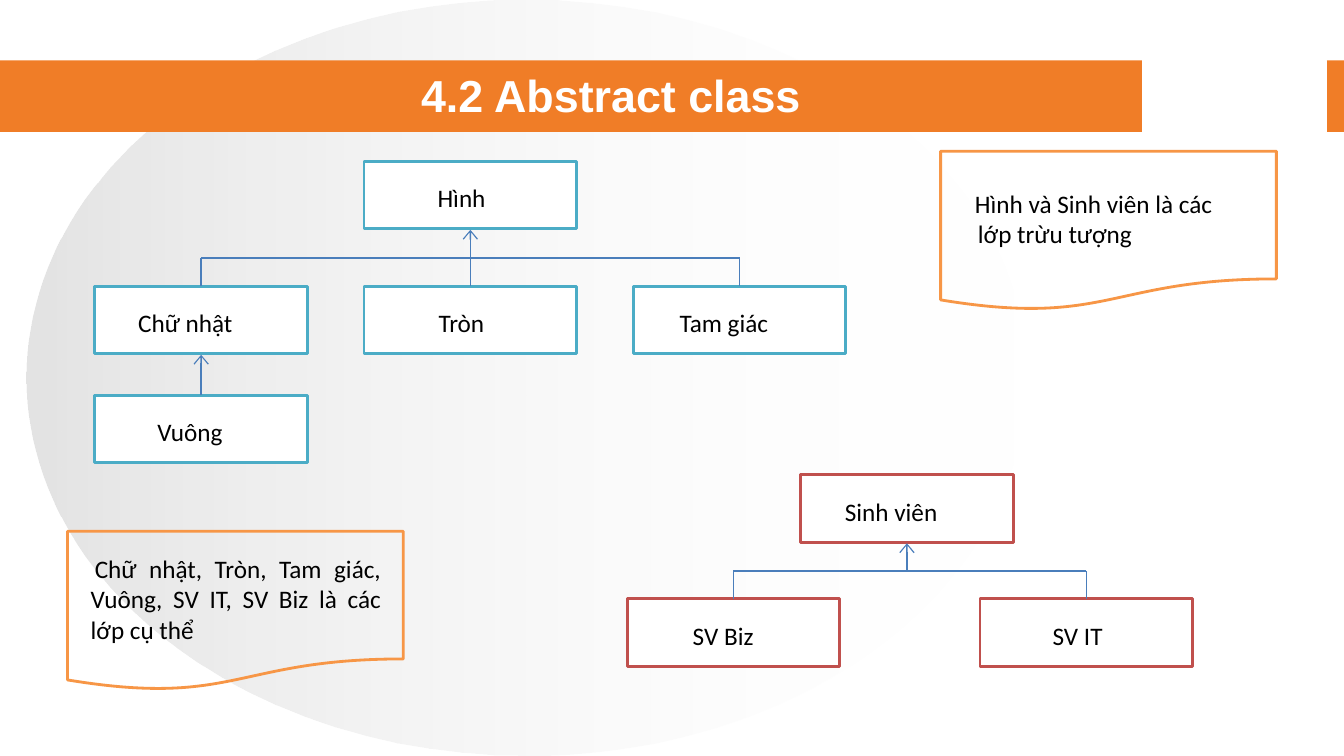
from lxml import etree
from pptx import Presentation
from pptx.dml.color import RGBColor
from pptx.enum.shapes import MSO_CONNECTOR as CONN, MSO_SHAPE as SHAPE
from pptx.enum.text import MSO_ANCHOR as ANCHOR, PP_ALIGN as ALIGN
from pptx.oxml.ns import qn
from pptx.util import Inches, Pt

BOX_W, BOX_H = 2.11, 0.67
ORANGE, TEAL, RED, BLUE = "F07D27", "4BACC6", "C0504D", "4A7EBB"
NOTE, WHITE, BLACK, GREY = "F79646", "FFFFFF", "000000", "C0C0C0"


def rgb(color):
    return RGBColor.from_string(color)


class Deck:
    def __init__(self, prs):
        self.s = prs.slides.add_slide(prs.slide_layouts[6])

    def shape(self, kind, x, y, w, h, fill=None, line=None, width=2):
        sp = self.s.shapes.add_shape(kind, *map(Inches, (x, y, w, h)))
        sp.shadow.inherit = False
        if fill:
            sp.fill.solid()
            sp.fill.fore_color.rgb = rgb(fill)
        else:
            sp.fill.background()
        if line:
            sp.line.color.rgb = rgb(line)
            sp.line.width = Pt(width)
        else:
            sp.line.fill.background()
        return sp

    def fade(self, kind, x, y, w, h, stops):
        sp = self.shape(kind, x, y, w, h)
        sp.fill.gradient()
        sp.fill.gradient_angle = 0
        for stop, (color, alpha) in zip(sp.fill.gradient_stops, stops):
            stop.color.rgb = rgb(color)
        for clr, (color, alpha) in zip(sp.fill._xPr.iter(qn("a:srgbClr")), stops):
            etree.SubElement(clr, qn("a:alpha"), val=str(alpha * 1000))

    def text(self, sp, text, margins, align=ALIGN.LEFT, anchor=ANCHOR.TOP,
             size=18, font="Calibri", color=BLACK, bold=False, indent=(0.01, 0)):
        tf = sp.text_frame
        tf.word_wrap = True
        tf.vertical_anchor = anchor
        tf.margin_left, tf.margin_top, tf.margin_right, tf.margin_bottom = map(Inches, margins)
        p = tf.paragraphs[0]
        p.text = text
        p.alignment = align
        p.font.size, p.font.name, p.font.bold = Pt(size), font, bold
        p.font.color.rgb = rgb(color)
        pPr = p._p.get_or_add_pPr()
        pPr.set("marL", str(Inches(indent[0])))
        pPr.set("indent", str(Inches(indent[1])))

    def title(self, text, x, y, w, h):
        sp = self.s.shapes.add_textbox(*map(Inches, (x, y, w, h)))
        self.text(sp, text, (0, 0, 0, 0), ALIGN.CENTER, ANCHOR.MIDDLE,
                  32, "Arial", WHITE, True, (0, 0))

    def box(self, text, x, y, inset, color):
        sp = self.shape(SHAPE.RECTANGLE, x, y, BOX_W, BOX_H, WHITE, color)
        self.text(sp, text, (inset, 0.21, 0, 0))
        return x + BOX_W / 2, y

    def note(self, text, x, y, margins, align, indent):
        sp = self.shape(SHAPE.FLOWCHART_DOCUMENT, x, y, 3.33, 1.58, None, NOTE)
        self.text(sp, text, margins, align, indent=indent)

    def line(self, x1, y1, x2, y2, arrow=False):
        c = self.s.shapes.add_connector(CONN.STRAIGHT, *map(Inches, (x1, y1, x2, y2)))
        c.line.color.rgb = rgb(BLUE)
        c.line.width = Pt(1)
        if arrow:
            etree.SubElement(c.line._get_or_add_ln(), qn("a:tailEnd"),
                             type="arrow", w="lg", len="med")
        etree.SubElement(c._element.spPr, qn("a:effectLst"))

    def inherit(self, parent, children):
        x, bottom = parent[0], parent[1] + BOX_H + 0.01
        top = children[0][1]
        if len(children) == 1:
            self.line(x, top, x, bottom, True)
            return
        mid = (top + bottom) / 2
        for child_x, child_y in children:
            self.line(child_x, child_y, child_x, mid)
        self.line(children[0][0], mid, children[-1][0], mid)
        self.line(x, mid, x, bottom, True)


prs = Presentation()
prs.slide_width, prs.slide_height = Inches(13.33), Inches(7.5)
d = Deck(prs)

d.fade(SHAPE.OVAL, 0.26, 0, 9.92, 7.5, [(GREY, 44), (WHITE, 0)])
d.shape(SHAPE.RECTANGLE, 0, 0.6, 13.33, 0.71, ORANGE)
d.shape(SHAPE.RECTANGLE, 11.33, 0.6, 1.83, 0.71, WHITE, WHITE, 0.75)
d.title("4.2 Abstract class", 1.67, 0.67, 8.78, 0.53)

shape_root = d.box("Hình", 3.61, 1.6, 0.72, TEAL)
shape_kinds = [d.box(name, 0.94 + 2.67 * i, 2.84, inset, TEAL)
               for i, (name, inset) in enumerate([("Chữ nhật", 0.42), ("Tròn", 0.73),
                                                  ("Tam giác", 0.45)])]
square = d.box("Vuông", 0.94, 3.92, 0.61, TEAL)
d.inherit(shape_root, shape_kinds)
d.inherit(shape_kinds[0], [square])

student_root = d.box("Sinh viên", 7.94, 4.71, 0.43, RED)
student_kinds = [d.box("SV Biz", 6.22, 5.94, 0.64, RED),
                 d.box("SV IT", 9.72, 5.94, 0.71, RED)]
d.inherit(student_root, student_kinds)

d.note("Hình và Sinh viên là các lớp trừu tượng", 9.33, 1.5,
       (0.33, 0.37, 0.34, 0), ALIGN.LEFT, (0.04, -0.03))
d.note("Chữ nhật, Tròn, Tam giác, Vuông, SV IT, SV Biz là các lớp cụ thể", 0.67, 5.27,
       (0.22, 0.22, 0.22, 0), ALIGN.JUSTIFY, (0.01, 0.04))

prs.save("out.pptx")
